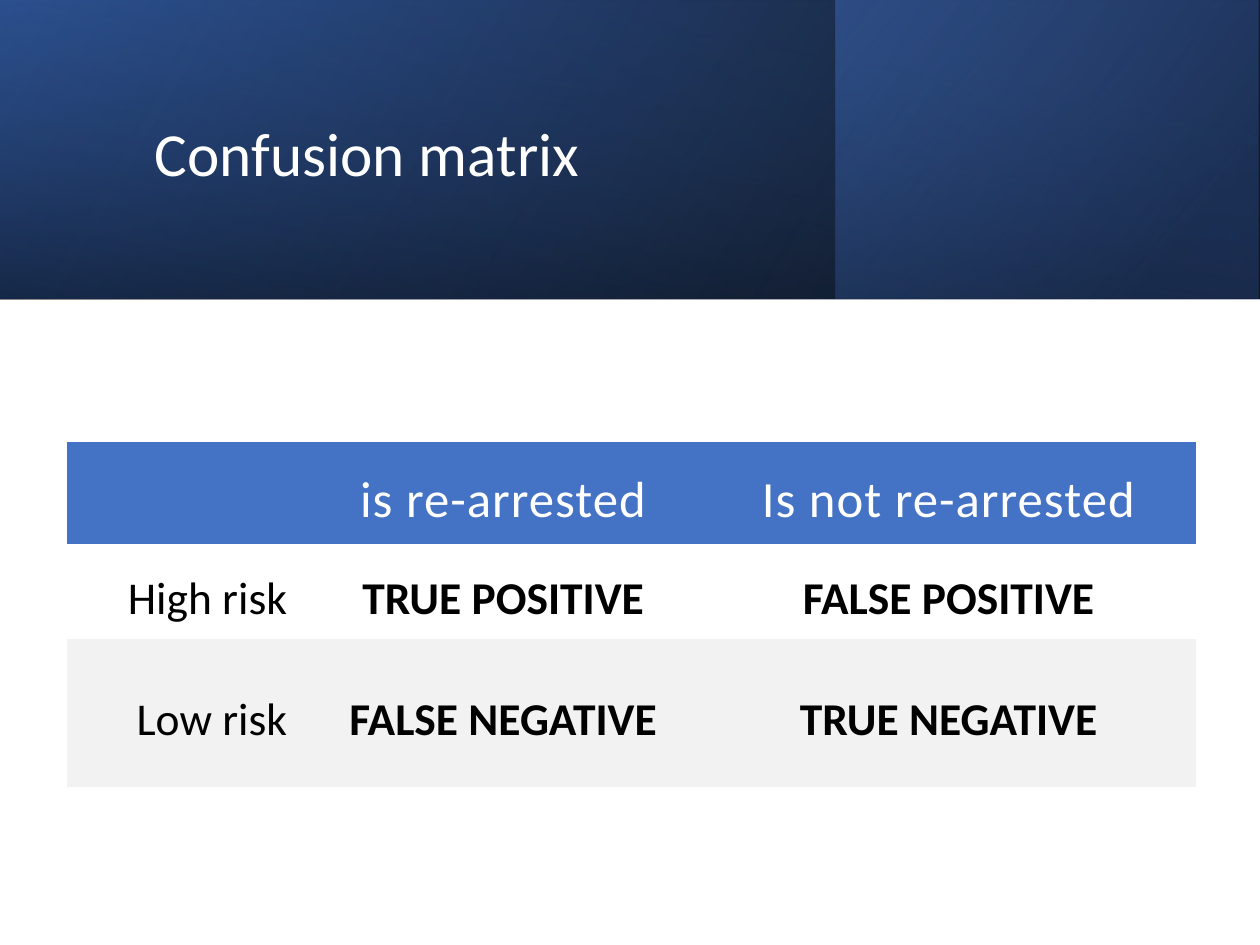
from lxml import etree
from pptx import Presentation
from pptx.dml.color import RGBColor
from pptx.enum import shapes, text
from pptx.oxml.ns import qn
from pptx.util import Inches, Pt

THEME = {
    "font": "Calibri",
    "white": RGBColor.from_string("FFFFFF"),
    "black": RGBColor.from_string("000000"),
    "accent": RGBColor.from_string("4472C4"),
    "band": RGBColor.from_string("F2F2F2"),
    "blue": RGBColor.from_string("2F5597"),
    "navy": RGBColor.from_string("203864"),
    "title_size": Pt(35),
    "header_size": Pt(29),
    "body_size": Pt(26),
}
NO_GRID_STYLE = "{2D5ABB26-0587-4C30-8999-92F81FD0307C}"


def apply_format(target, values):
    for name, value in values.items():
        setattr(target, name, value)


def style_font(font, size, color, bold=False):
    apply_format(font, {"name": THEME["font"], "size": size, "bold": bold})
    font.color.rgb = color


presentation = Presentation()
presentation.slide_width = Inches(10)
presentation.slide_height = Inches(7.5)
slide = presentation.slides.add_slide(presentation.slide_layouts[5])

banner_panels = [
    ((0, 0, 10, 2.37), 0, 30, [(0, "black", 96), (1, "blue", 100)]),
    ((6.63, 0, 3.36, 2.37), 0, 40, [(0.19, "navy", 68), (1, "accent", 48)]),
    ((3.81, -3.81, 2.37, 10), 270, 10, [(0.23, "blue", 16), (0.99, "black", 45)]),
]
for box, rotation, angle, stops in banner_panels:
    panel = slide.shapes.add_shape(shapes.MSO_SHAPE.RECTANGLE, *map(Inches, box))
    panel.rotation = rotation
    panel.shadow.inherit = False
    panel.line.fill.background()
    panel.fill.gradient()
    panel.fill.gradient_angle = angle
    for stop, (position, color, opacity) in zip(panel.fill.gradient_stops, stops):
        stop.position = position
        stop.color.rgb = THEME[color]
    properties = panel._element.spPr
    properties.find(qn("a:xfrm")).set("flipH", "1")
    for color_element, (position, color, opacity) in zip(properties.iter(qn("a:srgbClr")), stops):
        etree.SubElement(color_element, qn("a:alpha")).set("val", str(opacity * 1000))

title = slide.shapes.title
slide.shapes._spTree.append(title._element)
apply_format(title, {
    "left": Inches(1.13), "top": Inches(0.38),
    "width": Inches(7.97), "height": Inches(1.72),
})
title.text_frame.text = "Confusion matrix"
apply_format(title.text_frame, {
    "vertical_anchor": text.MSO_ANCHOR.MIDDLE,
    "auto_size": text.MSO_AUTO_SIZE.NONE,
    "word_wrap": True,
})
paragraph = title.text_frame.paragraphs[0]
apply_format(paragraph, {"alignment": text.PP_ALIGN.LEFT, "line_spacing": 0.9})
style_font(paragraph.runs[0].font, THEME["title_size"], THEME["white"])

matrix = [
    ["", "is re-arrested", "Is not re-arrested"],
    ["High risk", "TRUE POSITIVE", "FALSE POSITIVE"],
    ["Low risk", "FALSE NEGATIVE", "TRUE NEGATIVE"],
]
column_widths = [1.89, 3.15, 3.92]
row_heights = [0.81, 0.75, 1.18]
row_fills = [THEME["accent"], None, THEME["band"]]
cell_format = {
    "margin_left": Inches(0.14), "margin_top": Inches(0.18),
    "margin_right": Inches(0.14), "margin_bottom": Inches(0.07),
    "vertical_anchor": text.MSO_ANCHOR.MIDDLE,
}
frame = slide.shapes.add_table(
    len(row_heights), len(column_widths), Inches(0.53), Inches(3.51),
    Inches(sum(column_widths)), Inches(sum(row_heights)))
table = frame.table
table._tbl.tblPr.find(qn("a:tableStyleId")).text = NO_GRID_STYLE
for column, width in zip(table.columns, column_widths):
    column.width = Inches(width)
for row, height in zip(table.rows, row_heights):
    row.height = Inches(height)

for row_index, labels in enumerate(matrix):
    is_header = row_index == 0
    size = THEME["header_size"] if is_header else THEME["body_size"]
    color = THEME["white"] if is_header else THEME["black"]
    for column_index, label in enumerate(labels):
        cell = table.cell(row_index, column_index)
        apply_format(cell, cell_format)
        if row_fills[row_index] is None:
            cell.fill.background()
        else:
            cell.fill.solid()
            cell.fill.fore_color.rgb = row_fills[row_index]
        if not label:
            continue
        is_label = column_index == 0
        paragraph = cell.text_frame.paragraphs[0]
        paragraph.alignment = text.PP_ALIGN.RIGHT if is_label else text.PP_ALIGN.CENTER
        run = paragraph.add_run()
        run.text = label
        style_font(run.font, size, color, not is_header and not is_label)
        if is_header:
            run._r.get_or_add_rPr().set("spc", "60")

presentation.save("out.pptx")
